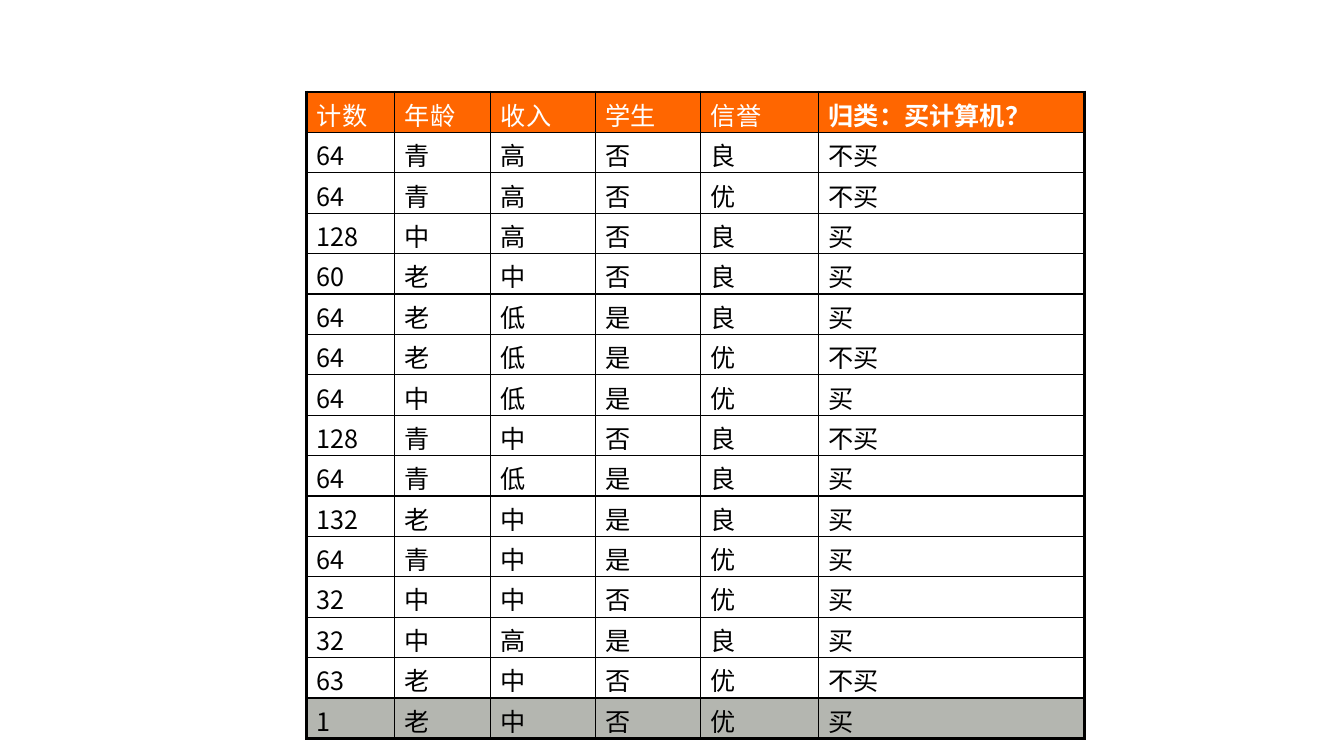
from dataclasses import dataclass

from lxml.etree import SubElement
from pptx import Presentation
from pptx.dml.color import RGBColor as Color
from pptx.oxml.ns import qn
from pptx.util import Cm, Pt


@dataclass(frozen=True)
class Theme:
    font: str = "Noto Sans CJK JP"
    text_size: float = 18
    cell_top: float = 2.8
    thin: float = 1
    thick: float = 2.25
    border: str = "000000"
    text: str = "000000"
    header_text: str = "FFFFFF"
    header_fill: str = "FF6600"
    highlight_fill: str = "B4B6B0"


THEME = Theme()
HEADERS = ["计数", "年龄", "收入", "学生", "信誉", "归类：买计算机？"]
CUSTOMERS = [
    ["64", "青", "高", "否", "良", "不买"],
    ["64", "青", "高", "否", "优", "不买"],
    ["128", "中", "高", "否", "良", "买"],
    ["60", "老", "中", "否", "良", "买"],
    ["64", "老", "低", "是", "良", "买"],
    ["64", "老", "低", "是", "优", "不买"],
    ["64", "中", "低", "是", "优", "买"],
    ["128", "青", "中", "否", "良", "不买"],
    ["64", "青", "低", "是", "良", "买"],
    ["132", "老", "中", "是", "良", "买"],
    ["64", "青", "中", "是", "优", "买"],
    ["32", "中", "中", "否", "优", "买"],
    ["32", "中", "高", "是", "良", "买"],
    ["63", "老", "中", "否", "优", "不买"],
    ["1", "老", "中", "否", "优", "买"],
]
COLUMN_WIDTHS = [2.22, 2.42, 2.64, 2.65, 2.97, 6.7]
ROW_HEIGHT = 1.01


def set_borders(cell, outer_sides):
    properties = cell._tc.get_or_add_tcPr()
    for side in "LRTB":
        width = THEME.thick if side in outer_sides else THEME.thin
        line = SubElement(properties, qn(f"a:ln{side}"), w=str(Pt(width)))
        fill = SubElement(line, qn("a:solidFill"))
        SubElement(fill, qn("a:srgbClr"), val=THEME.border)


def set_fill(cell, color):
    if color is None:
        cell.fill.background()
    else:
        cell.fill.solid()
        cell.fill.fore_color.rgb = Color.from_string(color)


def set_text(cell, text, color, bold):
    cell.margin_top = Pt(THEME.cell_top)
    cell.margin_bottom = 0
    cell.text = text
    font = cell.text_frame.paragraphs[0].font
    font.name = THEME.font
    font.size = Pt(THEME.text_size)
    font.bold = bold
    font.color.rgb = Color.from_string(color)
    SubElement(font._element, qn("a:ea"), typeface=THEME.font)


def add_customer_table(slide, left, top):
    rows = [HEADERS, *CUSTOMERS]
    last_row, last_column = len(rows) - 1, len(HEADERS) - 1
    row_fills = {0: THEME.header_fill, last_row: THEME.highlight_fill}
    shape = slide.shapes.add_table(
        len(rows), len(HEADERS), left, top,
        Cm(sum(COLUMN_WIDTHS)), Cm(ROW_HEIGHT * len(rows)),
    )
    table = shape.table
    table.first_row = table.horz_banding = False
    for column, width in zip(table.columns, COLUMN_WIDTHS):
        column.width = Cm(width)
    for row_index, values in enumerate(rows):
        is_header = row_index == 0
        color = THEME.header_text if is_header else THEME.text
        for column_index, value in enumerate(values):
            cell = table.cell(row_index, column_index)
            edges = {
                "L": column_index == 0,
                "R": column_index == last_column,
                "T": is_header,
                "B": row_index == last_row,
            }
            set_borders(cell, [side for side in edges if edges[side]])
            set_fill(cell, row_fills.get(row_index))
            set_text(cell, value, color, is_header and column_index == last_column)


def main():
    presentation = Presentation()
    presentation.slide_width = Cm(33.87)
    presentation.slide_height = Cm(19.05)
    slide = presentation.slides.add_slide(presentation.slide_layouts[6])
    add_customer_table(slide, Cm(7.73), Cm(2.32))
    presentation.save("out.pptx")


if __name__ == "__main__":
    main()
